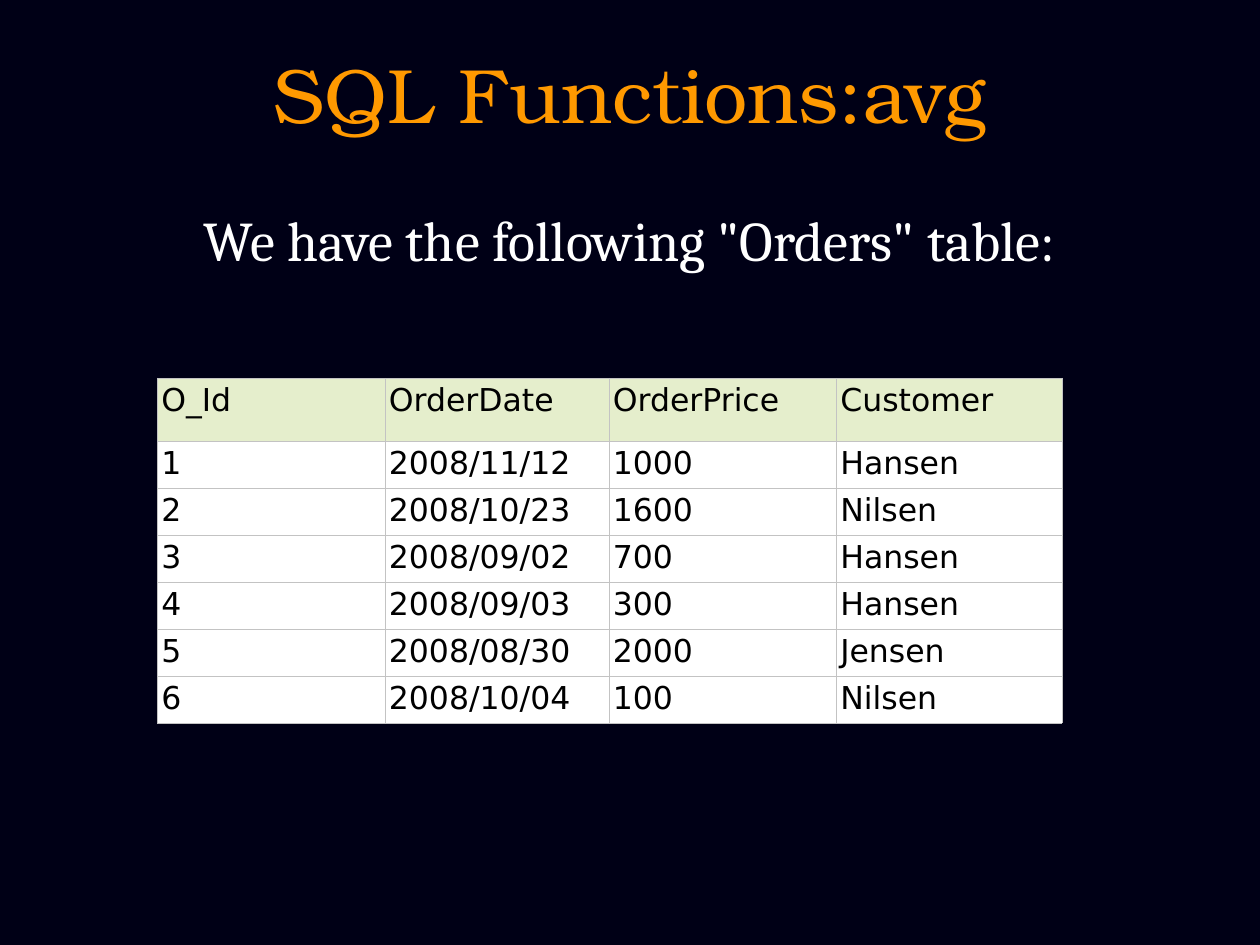
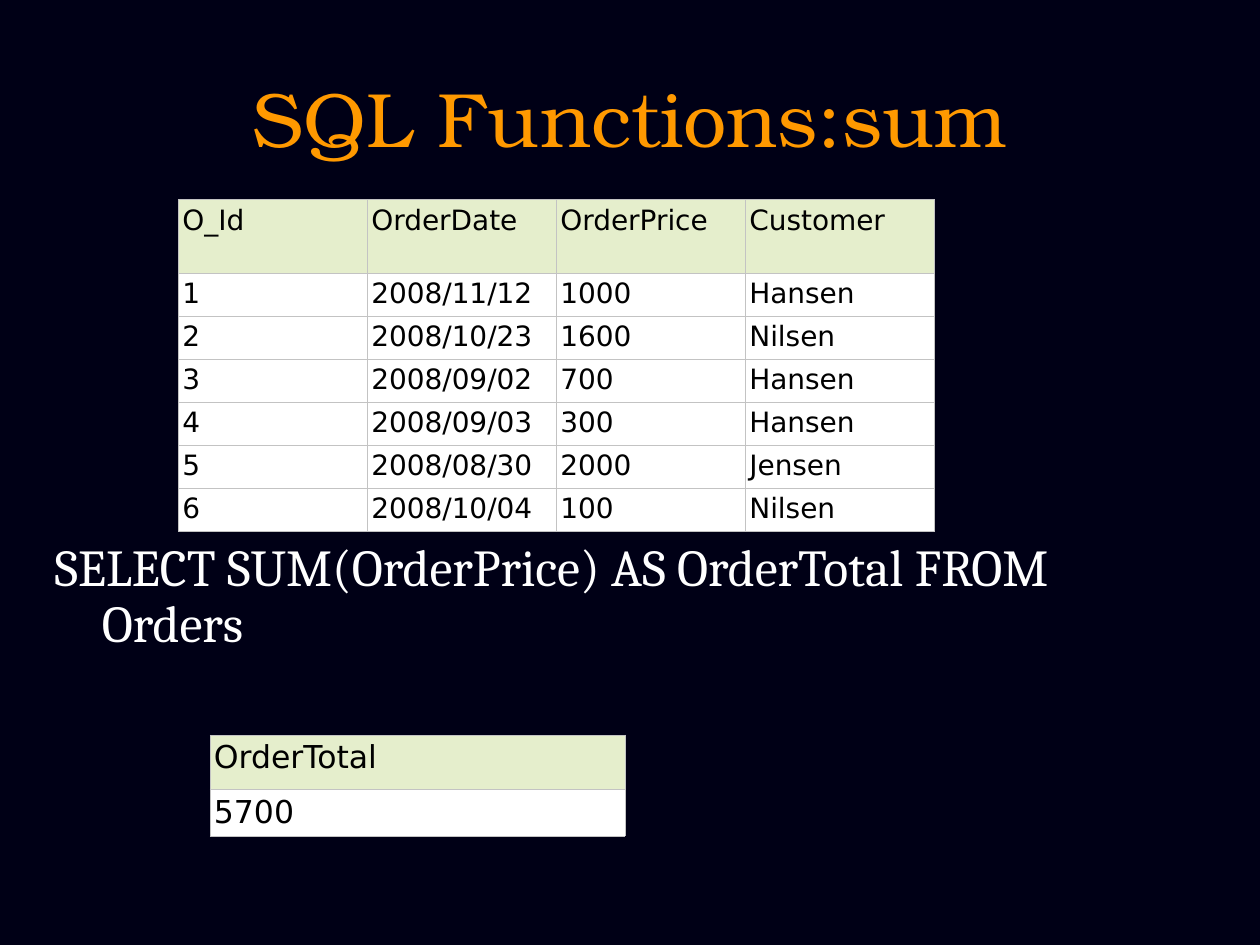
from lxml.etree import SubElement
from pptx import Presentation
from pptx.dml.color import RGBColor
from pptx.enum.text import MSO_ANCHOR as Anchor, MSO_AUTO_SIZE as AutoSize, PP_ALIGN as Align
from pptx.oxml.ns import qn
from pptx.util import Pt

NIGHT = "000016"
ORANGE = "FF9900"
WHITE = "FFFFFF"
BLACK = "000000"
PALE_GREEN = "E5EECC"
GRID_GREY = "C3C3C3"

TITLE_FONT = "TeX Gyre Bonum"
BODY_FONT = "Cambria"
TABLE_FONT = "DejaVu Sans"

ORDERS = [
    ("O_Id", "OrderDate", "OrderPrice", "Customer"),
    ("1", "2008/11/12", "1000", "Hansen"),
    ("2", "2008/10/23", "1600", "Nilsen"),
    ("3", "2008/09/02", "700", "Hansen"),
    ("4", "2008/09/03", "300", "Hansen"),
    ("5", "2008/08/30", "2000", "Jensen"),
    ("6", "2008/10/04", "100", "Nilsen"),
]
TOTAL = [("OrderTotal",), ("5700",)]


def rgb(hex_color):
    return RGBColor.from_string(hex_color)


def write(frame, text, *, font, size, color, align=Align.LEFT, spacing=1.0, hanging=0):
    paragraph = frame.paragraphs[0]
    properties = paragraph._p.get_or_add_pPr()
    properties.set("marL", str(Pt(hanging)))
    properties.set("indent", str(-Pt(hanging)))
    SubElement(properties, qn("a:buNone"))
    paragraph.alignment = align
    paragraph.line_spacing = spacing
    paragraph.space_before = Pt(0)
    run = paragraph.add_run()
    run.text = text
    run.font.name = font
    run.font.size = Pt(size)
    run.font.color.rgb = rgb(color)


def place(placeholder, left, top, width, height, anchor):
    placeholder.left, placeholder.top = Pt(left), Pt(top)
    placeholder.width, placeholder.height = Pt(width), Pt(height)
    frame = placeholder.text_frame
    frame.word_wrap = True
    frame.auto_size = AutoSize.NONE
    frame.vertical_anchor = anchor
    return frame


def add_title(slide, text, height):
    frame = place(slide.shapes.title, 36, 21.6, 648, height, Anchor.MIDDLE)
    write(frame, text, font=TITLE_FONT, size=44, color=ORANGE, align=Align.CENTER)


def add_body(slide, text, left, top, height, **text_format):
    frame = place(slide.placeholders[1], left, top, 648, height, Anchor.TOP)
    write(frame, text, font=BODY_FONT, color=WHITE, **text_format)


def add_borders(cell):
    properties = cell._tc.get_or_add_tcPr()
    for side in ("lnL", "lnR", "lnT", "lnB"):
        line = SubElement(properties, qn(f"a:{side}"), w=str(Pt(0.17)))
        fill = SubElement(line, qn("a:solidFill"))
        SubElement(fill, qn("a:srgbClr"), val=GRID_GREY)


def add_records(slide, records, left, top, widths, header_height, row_height, size):
    heights = [header_height] + [row_height] * (len(records) - 1)
    table = slide.shapes.add_table(
        len(records), len(widths), Pt(left), Pt(top), Pt(sum(widths)), Pt(sum(heights))
    ).table
    table.first_row = table.horz_banding = False
    for column, width in zip(table.columns, widths):
        column.width = Pt(width)
    for row, height, record in zip(table.rows, heights, records):
        row.height = Pt(height)
        for cell, value in zip(row.cells, record):
            cell.margin_left = cell.margin_right = Pt(2.25)
            cell.margin_top = cell.margin_bottom = Pt(3.6)
            add_borders(cell)
            cell.fill.solid()
            cell.fill.fore_color.rgb = rgb(PALE_GREEN if record is records[0] else WHITE)
            write(cell.text_frame, value, font=TABLE_FONT, size=size, color=BLACK, spacing=0.94)


def build_avg(slide):
    add_title(slide, "SQL Functions:avg", 62.6)
    add_body(slide, 'We have the following "Orders" table:', 36, 114, 60,
             size=32, align=Align.CENTER)
    add_records(slide, ORDERS, 90, 216, (130, 128, 130, 129), 36, 26.2, 18)


def build_sum(slide):
    add_title(slide, "SQL Functions:sum", 90)
    add_body(slide, "SELECT SUM(OrderPrice) AS OrderTotal FROM Orders", 24, 306, 84,
             size=29.6, spacing=0.9, hanging=27)
    add_records(slide, ORDERS, 102, 114, [108] * 4, 42, 24, 16)
    add_records(slide, TOTAL, 120, 420, [237], 31, 26.2, 18)


def main():
    deck = Presentation()
    deck.slide_width, deck.slide_height = Pt(720), Pt(540)
    backdrop = deck.slide_master.background.fill
    backdrop.solid()
    backdrop.fore_color.rgb = rgb(NIGHT)
    for build in (build_avg, build_sum):
        build(deck.slides.add_slide(deck.slide_layouts[1]))
    deck.save("out.pptx")


if __name__ == "__main__":
    main()
